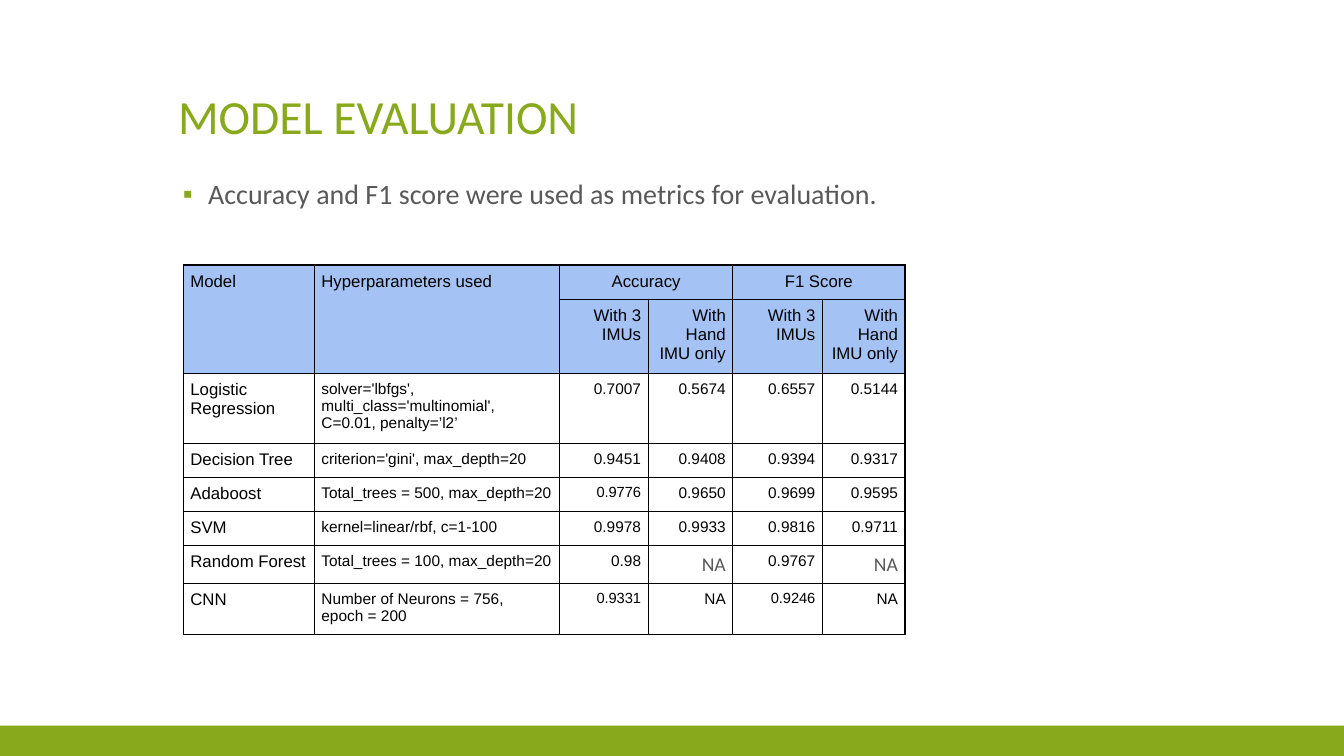
from pptx import Presentation
from pptx.dml.color import RGBColor
from pptx.enum import shapes, text
from pptx.oxml import parse_xml
from pptx.oxml.ns import nsdecls
from pptx.util import Pt

GREEN, GREY, BLACK, HEADER_BLUE = "87A91B", "595959", "000000", "A4C2F4"
LEFT, RIGHT, CENTER = text.PP_ALIGN.LEFT, text.PP_ALIGN.RIGHT, text.PP_ALIGN.CENTER

HEADER_ROWS = [
    ["Model", "Hyperparameters used", "Accuracy", "", "F1 Score", ""],
    ["", ""] + ["With 3 IMUs", "With Hand IMU only"] * 2,
]
MODEL_ROWS = [
    ["Logistic Regression", "solver='lbfgs', multi_class='multinomial', C=0.01, penalty=’l2’",
     "0.7007", "0.5674", "0.6557", "0.5144"],
    ["Decision Tree", "criterion='gini', max_depth=20", "0.9451", "0.9408", "0.9394", "0.9317"],
    ["Adaboost", "Total_trees = 500, max_depth=20", "0.9776", "0.9650", "0.9699", "0.9595"],
    ["SVM", "kernel=linear/rbf, c=1-100", "0.9978", "0.9933", "0.9816", "0.9711"],
    ["Random Forest", "Total_trees = 100, max_depth=20", "0.98", "NA", "0.9767", "NA"],
    ["CNN", "Number of Neurons = 756,\nepoch = 200", "0.9331", "NA", "0.9246", "NA"],
]
COLUMN_WIDTHS = [93.6, 175, 63.4, 60.5, 64, 59]
ROW_HEIGHTS = [24, 50.4, 46.8, 23.6, 23.6, 23.6, 26.8, 34.6]
MERGES = [(0, 0, 1, 0), (0, 1, 1, 1), (0, 2, 0, 3), (0, 4, 0, 5)]
SMALL_VALUES = {"0.9776", "0.9331", "0.9246"}


def color(hex_string):
    return RGBColor.from_string(hex_string)


def format_text(text_frame, size, font_name, hex_string, alignment=LEFT, line_spacing=1.0):
    for paragraph in text_frame.paragraphs:
        paragraph.alignment = alignment
        paragraph.line_spacing = line_spacing
        for run in paragraph.runs:
            run.font.size = Pt(size)
            run.font.name = font_name
            run.font.color.rgb = color(hex_string)


def add_footer_band(slide, left, top, width, height):
    band = slide.shapes.add_shape(shapes.MSO_SHAPE.RECTANGLE, Pt(left), Pt(top), Pt(width), Pt(height))
    band.shadow.inherit = False
    band.fill.solid()
    band.fill.fore_color.rgb = color(GREEN)
    band.line.fill.background()


def place_title(slide, left, top, width, height):
    title = slide.shapes.title
    title.left, title.top, title.width, title.height = Pt(left), Pt(top), Pt(width), Pt(height)
    title.text_frame.text = "MODEL EVALUATION"
    title.text_frame.vertical_anchor = text.MSO_ANCHOR.BOTTOM
    format_text(title.text_frame, 34, "Calibri", GREEN, line_spacing=0.9)


def add_bullet(slide, left, top, width, height):
    box = slide.shapes.add_textbox(Pt(left), Pt(top), Pt(width), Pt(height))
    box.text_frame.word_wrap = True
    box.text_frame.text = "Accuracy and F1 score were used as metrics for evaluation."
    format_text(box.text_frame, 20, "Calibri", GREY, line_spacing=0.9)
    properties = box.text_frame.paragraphs[0]._p.get_or_add_pPr()
    properties.set("marL", str(Pt(21.6)))
    properties.set("indent", str(Pt(-18)))
    for bullet in (f'<a:buClr {nsdecls("a")}><a:srgbClr val="{GREEN}"/></a:buClr>',
                   f'<a:buFont {nsdecls("a")} typeface="Arial"/>',
                   f'<a:buChar {nsdecls("a")} char="▪"/>'):
        properties.append(parse_xml(bullet))


def add_borders(cell):
    properties = cell._tc.get_or_add_tcPr()
    for index, side in enumerate(("lnL", "lnR", "lnT", "lnB")):
        properties.insert(index, parse_xml(
            f'<a:{side} {nsdecls("a")} w="{Pt(1)}"><a:solidFill>'
            f'<a:srgbClr val="{BLACK}"/></a:solidFill></a:{side}>'))


def format_cell(cell, row, column, value):
    cell.margin_left = cell.margin_right = cell.margin_top = cell.margin_bottom = Pt(5)
    cell.text_frame.text = value
    is_header = row < len(HEADER_ROWS)
    if is_header:
        cell.fill.solid()
        cell.fill.fore_color.rgb = color(HEADER_BLUE)
    else:
        cell.fill.background()
    add_borders(cell)

    alignment = LEFT if column < 2 else CENTER if row == 0 else RIGHT
    size, font_name, font_color = 11, "Arial", BLACK
    if is_header or column == 0:
        size = 12
    elif value in SMALL_VALUES:
        size = 10.5
    elif value == "NA" and "Random Forest" in MODEL_ROWS[row - len(HEADER_ROWS)]:
        size, font_name, font_color = 14, "Calibri", GREY
    format_text(cell.text_frame, size, font_name, font_color, alignment)


def add_results_table(slide, left, top):
    rows = HEADER_ROWS + MODEL_ROWS
    table = slide.shapes.add_table(
        len(rows), len(COLUMN_WIDTHS), Pt(left), Pt(top),
        Pt(sum(COLUMN_WIDTHS)), Pt(sum(ROW_HEIGHTS))).table
    table.first_row = table.horz_banding = False
    for column, width in zip(table.columns, COLUMN_WIDTHS):
        column.width = Pt(width)
    for row, height in zip(table.rows, ROW_HEIGHTS):
        row.height = Pt(height)
    for row, values in enumerate(rows):
        for column, value in enumerate(values):
            format_cell(table.cell(row, column), row, column, value)
    for top_row, first, bottom_row, last in MERGES:
        table.cell(top_row, first).merge(table.cell(bottom_row, last))


def build_evaluation_slide(presentation, width, height):
    slide = presentation.slides.add_slide(presentation.slide_layouts[5])
    # Footer band
    add_footer_band(slide, 0, height - 21.6, width, 21.6)
    # Title and introduction
    place_title(slide, 120, 17.3, 720, 90)
    add_bullet(slide, 120, 125.3, 720, 36)
    # Model results
    add_results_table(slide, 131, 189.3)


presentation = Presentation()
presentation.slide_width, presentation.slide_height = Pt(960), Pt(540)
build_evaluation_slide(presentation, 960, 540)
presentation.save("out.pptx")
